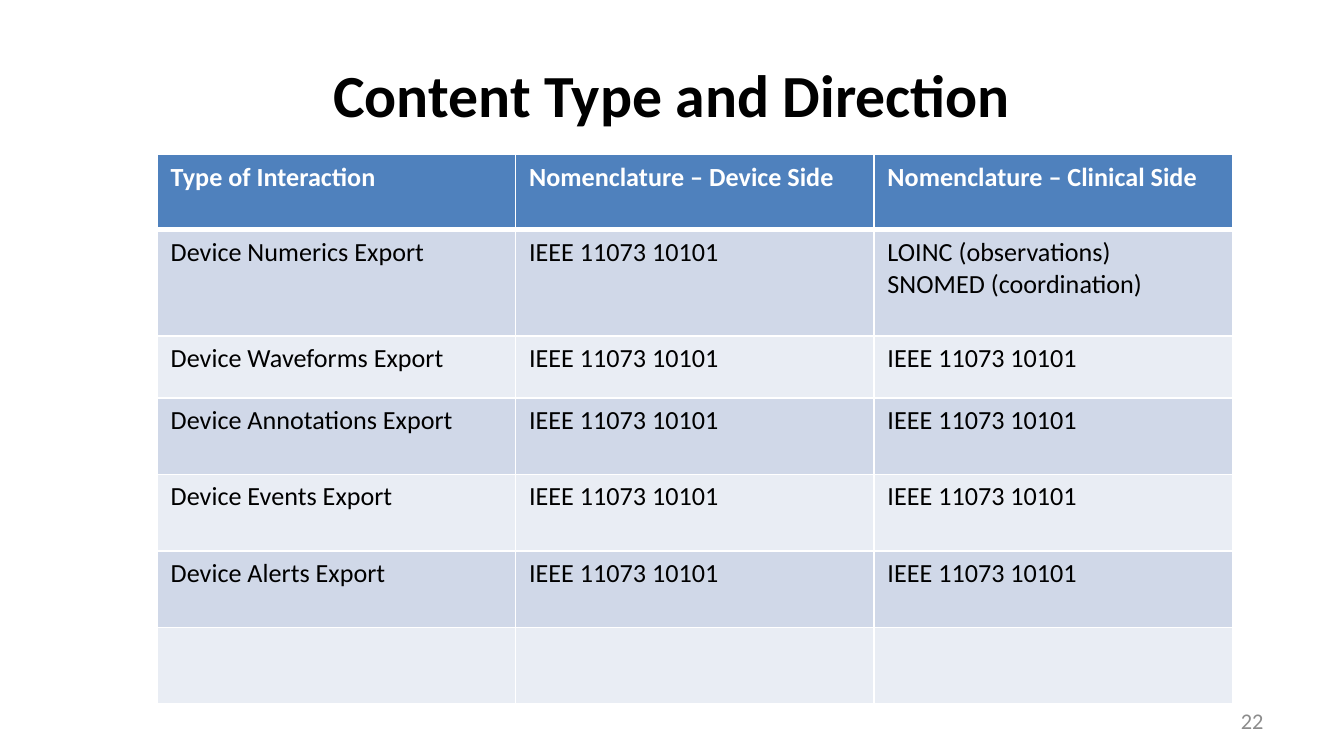
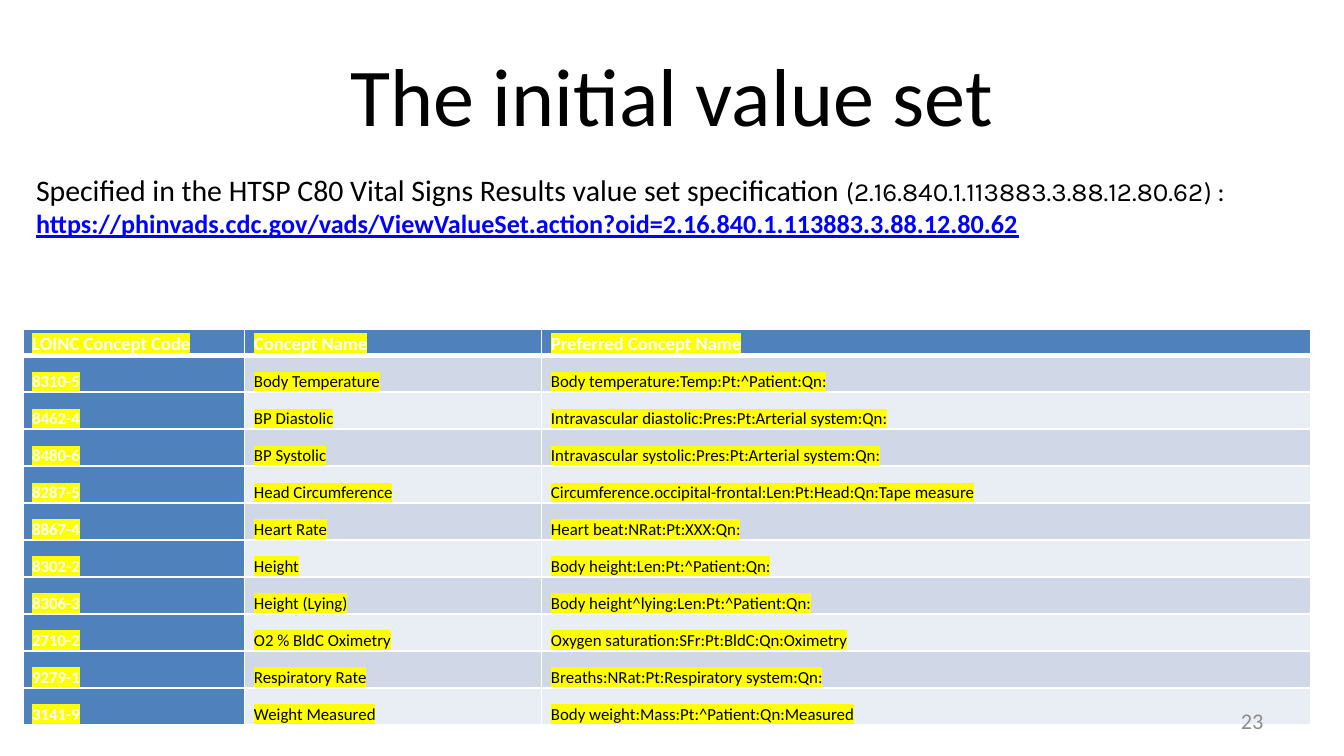
from lxml import etree
from pptx import Presentation
from pptx.dml.color import RGBColor
from pptx.enum.text import MSO_ANCHOR, PP_ALIGN
from pptx.oxml.ns import qn
from pptx.util import Inches, Pt

TOP, MIDDLE, BOTTOM = MSO_ANCHOR.TOP, MSO_ANCHOR.MIDDLE, MSO_ANCHOR.BOTTOM
CENTER, RIGHT = PP_ALIGN.CENTER, PP_ALIGN.RIGHT
TITLE_ONLY = 5

FONT = "Calibri"
COLORS = {
    "text": "000000", "white": "FFFFFF", "number": "8C8C8C", "link": "0000FF",
    "header": "4F81BD", "band_dark": "D0D8E8", "band_light": "E9EDF4",
    "marker": "FFFF00",
}

# Content: interaction types
IEEE = "IEEE 11073 10101"
INTERACTIONS = [
    ("Type of Interaction", "Nomenclature – Device Side", "Nomenclature – Clinical Side"),
    ("Device Numerics Export", IEEE, "LOINC (observations)\nSNOMED (coordination)"),
    ("Device Waveforms Export", IEEE, IEEE),
    ("Device Annotations Export", IEEE, IEEE),
    ("Device Events Export", IEEE, IEEE),
    ("Device Alerts Export", IEEE, IEEE),
    ("", "", ""),
]
INTERACTION_WIDTHS = [8 / 3] * 3
INTERACTION_HEIGHTS = [0.56, 0.79, 0.46] + [0.57] * 4

# Content: vital signs value set
VITAL_SIGNS = [
    ("LOINC Concept Code", "Concept Name", "Preferred Concept Name"),
    ("8310-5", "Body Temperature", "Body temperature:Temp:Pt:^Patient:Qn:"),
    ("8462-4", "BP Diastolic", "Intravascular diastolic:Pres:Pt:Arterial system:Qn:"),
    ("8480-6", "BP Systolic", "Intravascular systolic:Pres:Pt:Arterial system:Qn:"),
    ("8287-5", "Head Circumference",
     "Circumference.occipital-frontal:Len:Pt:Head:Qn:Tape measure"),
    ("8867-4", "Heart Rate", "Heart beat:NRat:Pt:XXX:Qn:"),
    ("8302-2", "Height", "Body height:Len:Pt:^Patient:Qn:"),
    ("8306-3", "Height (Lying)", "Body height^lying:Len:Pt:^Patient:Qn:"),
    ("2710-2", "O2 % BldC Oximetry", "Oxygen saturation:SFr:Pt:BldC:Qn:Oximetry"),
    ("9279-1", "Respiratory Rate", "Breaths:NRat:Pt:Respiratory system:Qn:"),
    ("3141-9", "Weight Measured", "Body weight:Mass:Pt:^Patient:Qn:Measured"),
]
VITAL_WIDTHS = [1.65, 2.21, 5.72]
VITAL_HEADER = 0.19
VITAL_ROWS = len(VITAL_SIGNS) - 1
VITAL_HEIGHTS = [VITAL_HEADER] + [(2.94 - VITAL_HEADER) / VITAL_ROWS] * VITAL_ROWS

# Each run: text, size, font, colour, bold, underline
SOURCE_LINES = [
    [("Specified in the HTSP C80 Vital Signs Results value set specification ",
      16, FONT, "text", False, False),
     ("(", 14, FONT, "text", False, False),
     ("2.16.840.1.113883.3.88.12.80.62", 14, "Karla", "text", False, False),
     (") :", 14, FONT, "text", False, False)],
    [("https://phinvads.cdc.gov/vads/ViewValueSet.action?oid=2.16.840.1.113883.3.88.12.80.62",
      14, FONT, "link", True, True)],
]


def rgb(name):
    return RGBColor.from_string(COLORS[name])


def style_run(r, size, color, bold=False, font=FONT, underline=None):
    r.font.size, r.font.bold, r.font.name = Pt(size), bold, font
    r.font.color.rgb = rgb(color)
    if underline:
        r.font.underline = True


def highlight(r):
    """Mark a run; the highlight element must follow its fill."""
    mark = etree.Element(qn("a:highlight"))
    etree.SubElement(mark, qn("a:srgbClr")).set("val", COLORS["marker"])
    r.font._element.find(qn("a:solidFill")).addnext(mark)


def set_borders(cell, row):
    """White rules; the one under the header row is thicker."""
    sides = {"L": 1, "R": 1, "T": 1, "B": 1 if row else 3}
    if row == 1:
        del sides["T"]  # the header's rule serves here
    tc_pr = cell._tc.get_or_add_tcPr()
    for i, (side, width) in enumerate(sides.items()):
        ln = etree.Element(qn("a:ln" + side), w=str(Pt(width)))
        fill = etree.SubElement(ln, qn("a:solidFill"))
        etree.SubElement(fill, qn("a:srgbClr")).set("val", COLORS["white"])
        tc_pr.insert(i, ln)


def add_slide(prs, title, size, bold):
    s = prs.slides.add_slide(prs.slide_layouts[TITLE_ONLY])
    sp = s.shapes.title
    sp.left, sp.top, sp.width, sp.height = map(Inches, (0.5, 0.23, 9, 0.94))
    tf = sp.text_frame
    tf.text, tf.vertical_anchor = title, MIDDLE
    p = tf.paragraphs[0]
    p.alignment = CENTER
    style_run(p.runs[0], size, "text", bold)
    return s


def add_number(s, number):
    sp = s.shapes.add_textbox(*map(Inches, (7.17, 5.21, 2.33, 0.3)))
    tf = sp.text_frame
    tf.word_wrap, tf.vertical_anchor = True, MIDDLE
    tf.text = str(number)
    p = tf.paragraphs[0]
    p.alignment = RIGHT
    style_run(p.runs[0], 12, "number")


def add_table(s, rows, left, top, widths, heights, head_size, body_size,
              head_column=False, compact=False):
    """Banded table; compact cells sit at the bottom and are highlighted."""
    frame = s.shapes.add_table(len(rows), len(widths), Inches(left), Inches(top),
                               Inches(sum(widths)), Inches(sum(heights)))
    table = frame.table
    table.first_col = head_column
    for column, width in zip(table.columns, widths):
        column.width = Inches(width)
    for i, (values, height) in enumerate(zip(rows, heights)):
        table.rows[i].height = Inches(height)
        for j, value in enumerate(values):
            cell = table.cell(i, j)
            is_head = i == 0 or (head_column and j == 0)
            band = "band_dark" if i % 2 else "band_light"
            cell.fill.solid()
            cell.fill.fore_color.rgb = rgb("header" if is_head else band)
            set_borders(cell, i)
            cell.vertical_anchor = BOTTOM if compact else TOP
            if compact:
                cell.margin_left = cell.margin_right = Inches(0.07)
                cell.margin_top = cell.margin_bottom = 0
            cell.text_frame.text = value
            for p in cell.text_frame.paragraphs:
                if compact:
                    p.line_spacing = 1.15
                for r in p.runs:
                    style_run(r, body_size if i else head_size,
                              "white" if is_head else "text", is_head)
                    if compact:
                        highlight(r)


def add_source(s):
    sp = s.shapes.add_textbox(*map(Inches, (0.17, 1.23, 9.83, 0.61)))
    tf = sp.text_frame
    tf.word_wrap = True
    for i, line in enumerate(SOURCE_LINES):
        p = tf.add_paragraph() if i else tf.paragraphs[0]
        for text, size, font, color, bold, underline in line:
            r = p.add_run()
            r.text = text
            style_run(r, size, color, bold, font, underline)


def main():
    prs = Presentation()
    prs.slide_width = Inches(10)
    prs.slide_height = prs.slide_width * 9 // 16

    # Content type and direction
    s = add_slide(prs, "Content Type and Direction", 32, True)
    add_number(s, 22)
    add_table(s, INTERACTIONS, 1.17, 1.15, INTERACTION_WIDTHS, INTERACTION_HEIGHTS, 14, 14)

    # Initial value set
    s = add_slide(prs, "The initial value set", 44, False)
    add_table(s, VITAL_SIGNS, 0.17, 2.45, VITAL_WIDTHS, VITAL_HEIGHTS, 10, 9,
              head_column=True, compact=True)
    add_number(s, 23)
    add_source(s)

    prs.save("out.pptx")


if __name__ == "__main__":
    main()
